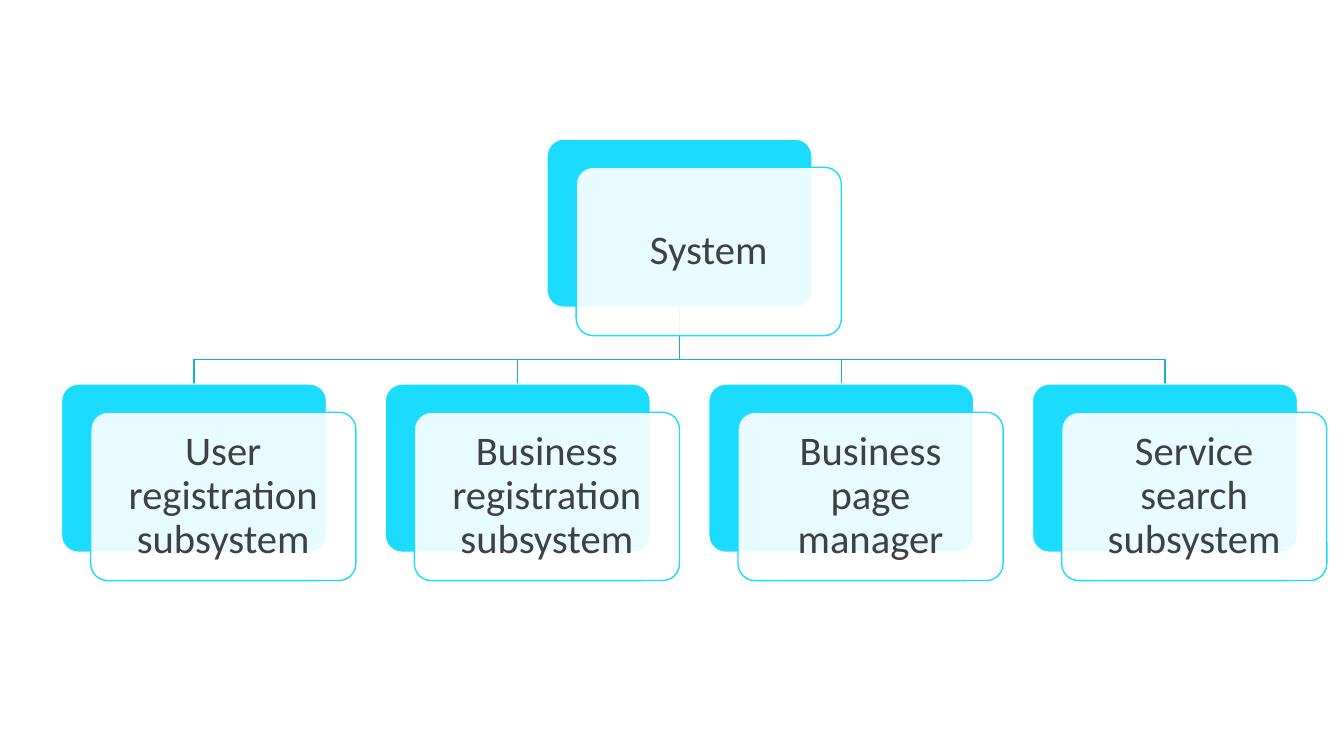
from dataclasses import dataclass

from lxml.etree import SubElement
from pptx import Presentation
from pptx.dml.color import RGBColor
from pptx.enum.shapes import MSO_SHAPE as Shape
from pptx.enum.text import MSO_ANCHOR as Anchor, PP_ALIGN as Align
from pptx.oxml.ns import qn
from pptx.util import Inches, Pt

LEFT, TOP = 0.61, 1.38
COL, ROW = 3.21, 2.43
CARD_W, CARD_H = 2.63, 1.67
SHIFT_X, SHIFT_Y = 0.29, 0.28
PAD, INSET = 0.05, 0.12
BEND = 0.52
CYAN, TEAL, WHITE, GREY = "1BDCFF", "16B0CC", "FFFFFF", "404040"


@dataclass(frozen=True)
class Node:
    text: str
    col: float
    row: int

    @property
    def x(self) -> float:
        return LEFT + self.col * COL

    @property
    def y(self) -> float:
        return TOP + self.row * ROW

    @property
    def center(self) -> float:
        return self.x + CARD_W / 2


ROOT = Node("System", 1.5, 0)
CHILDREN = [
    Node(text, col, 1)
    for col, text in enumerate([
        "User registration subsystem",
        "Business registration subsystem",
        "Business page manager",
        "Service search subsystem",
    ])
]


def rgb(color: str) -> RGBColor:
    return RGBColor.from_string(color)


def add_card(shapes, x: float, y: float, fill: str, line: str, alpha: int = 100) -> None:
    sp = shapes.add_shape(
        Shape.ROUNDED_RECTANGLE, Inches(x), Inches(y), Inches(CARD_W), Inches(CARD_H)
    )
    sp.adjustments[0] = 0.1
    sp.shadow.inherit = False
    sp.fill.solid()
    sp.fill.fore_color.rgb = rgb(fill)
    sp.line.color.rgb = rgb(line)
    sp.line.width = Pt(1)
    if alpha < 100:
        color = sp.fill._xPr.find(qn("a:solidFill"))[0]
        SubElement(color, qn("a:alpha"), val=str(alpha * 1000))


def add_text(shapes, text: str, x: float, y: float, w: float, h: float, *,
             size: float = 29, font: str = "Calibri", color: str = GREY) -> None:
    tf = shapes.add_textbox(Inches(x), Inches(y), Inches(w), Inches(h)).text_frame
    tf.word_wrap = True
    tf.vertical_anchor = Anchor.MIDDLE
    tf.margin_left = tf.margin_right = tf.margin_top = tf.margin_bottom = Inches(INSET)
    p = tf.paragraphs[0]
    p.alignment = Align.CENTER
    p.line_spacing = 0.9
    r = p.add_run()
    r.text = text
    r.font.size = Pt(size)
    r.font.name = font
    r.font.color.rgb = rgb(color)


def add_branch(shapes, parent: Node, child: Node) -> None:
    start = parent.y + CARD_H
    points = [
        (parent.center, start),
        (parent.center, start + BEND),
        (child.center, start + BEND),
        (child.center, child.y),
    ]
    first, *rest = [(Inches(x), Inches(y)) for x, y in points]
    builder = shapes.build_freeform(*first)
    builder.add_line_segments(rest, close=False)
    sp = builder.convert_to_shape()
    sp.shadow.inherit = False
    sp.fill.background()
    sp.line.color.rgb = rgb(TEAL)
    sp.line.width = Pt(1)


def add_node(shapes, node: Node) -> None:
    x, y = node.x + SHIFT_X, node.y + SHIFT_Y
    add_card(shapes, node.x, node.y, CYAN, WHITE)
    add_card(shapes, x, y, WHITE, CYAN, alpha=90)
    add_text(shapes, node.text, x + PAD, y + PAD, CARD_W - 2 * PAD, CARD_H - 2 * PAD)


def main() -> None:
    prs = Presentation()
    prs.slide_width, prs.slide_height = Inches(13.33), Inches(7.5)
    shapes = prs.slides.add_slide(prs.slide_layouts[6]).shapes
    for child in reversed(CHILDREN):
        add_branch(shapes, ROOT, child)
    for node in [ROOT, *CHILDREN]:
        add_node(shapes, node)
    prs.save("out.pptx")


if __name__ == "__main__":
    main()
